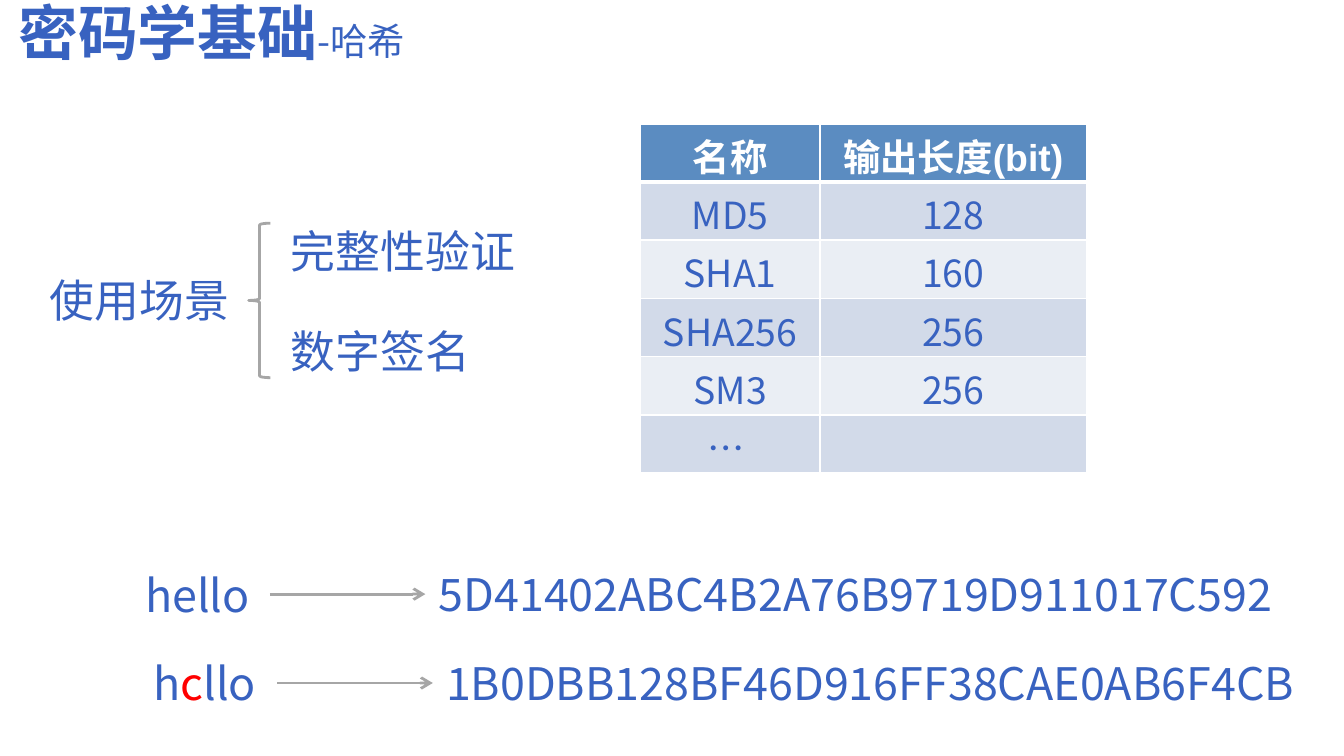
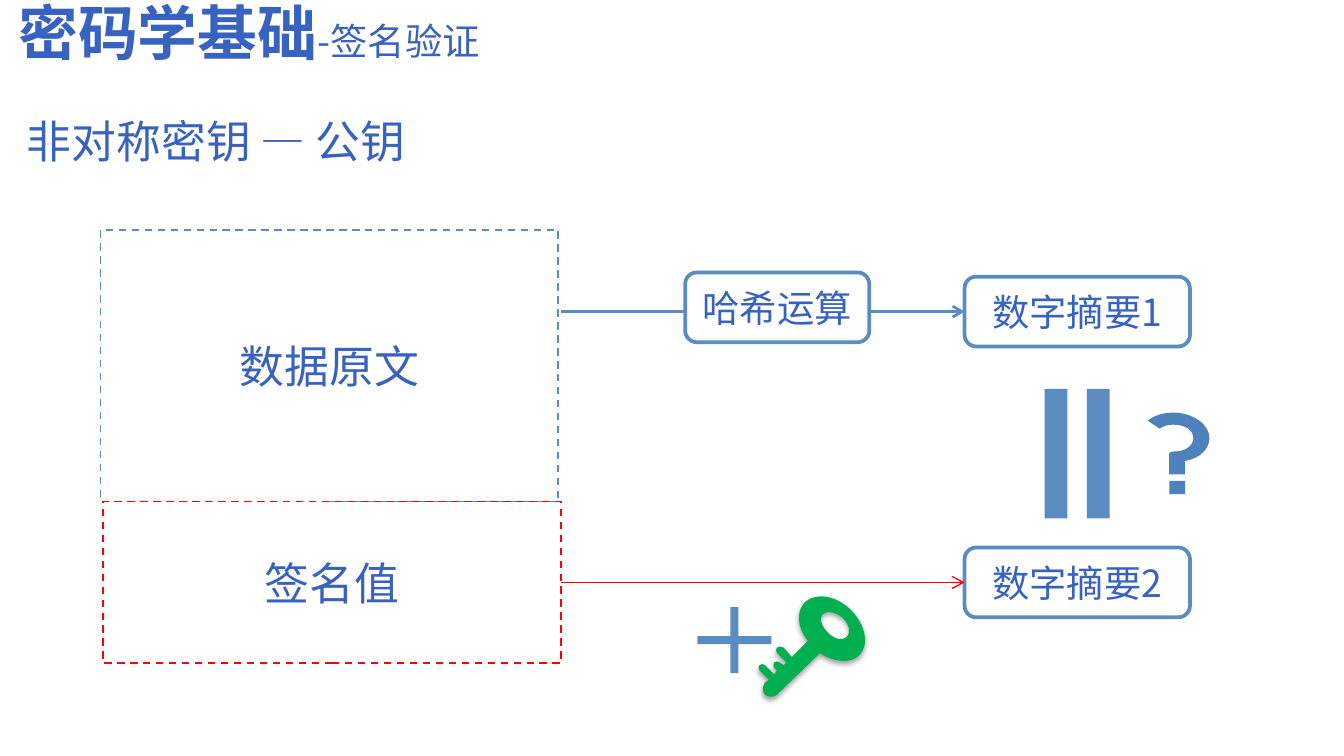
"""Build two slides on cryptography basics: hashing and signature verification."""
import pptx
import pptx.util
import pptx.dml.color
import pptx.enum.dml
import pptx.enum.shapes
import pptx.enum.text
import pptx.oxml
import pptx.oxml.ns

Cm, Pt = pptx.util.Cm, pptx.util.Pt
SHAPE = pptx.enum.shapes.MSO_SHAPE
ALIGN = pptx.enum.text.PP_ALIGN
ANCHOR = pptx.enum.text.MSO_ANCHOR
DASH = pptx.enum.dml.MSO_LINE.DASH
NS = pptx.oxml.ns.nsdecls("a")
qn = pptx.oxml.ns.qn

FONT = "Noto Sans CJK SC"
INK, STEEL, GRAY, RED = "3862C0", "5B8CC1", "A6A6A6", "FF0000"
WHITE, GREEN, QUERY = "FFFFFF", "00B050", "4F81BD"
BANDS = ["D2DAE9", "EAEEF4"]

TITLE = "密码学基础"
SUBTITLES = ["-哈希", "-签名验证"]
USES_LABEL = "使用场景"
USES = ["完整性验证", "数字签名"]
HASH_TABLE = [
    ("名称", "输出长度(bit)"),
    ("MD5", "128"),
    ("SHA1", "160"),
    ("SHA256", "256"),
    ("SM3", "256"),
    ("… ", ""),
]
COLUMNS = [3.4, 5.03]
EXAMPLES = [
    (2.36, 10.72, [("hello", INK)], "5D41402ABC4B2A76B9719D911017C592"),
    (2.5, 12.4, [("h", INK), ("c", RED), ("llo", INK)],
     "1B0DBB128BF46D916FF38CAE0AB6F4CB"),
]
KEY_TYPE = "非对称密钥 — 公钥"
DATA, SIGNATURE, HASHING = "数据原文", "签名值", "哈希运算"
DIGESTS = ["数字摘要1", "数字摘要2"]

KEY = [
    [(46, 45), (14, 76), (12, 78, 8, 78, 5, 76), (3, 74, 3, 70, 5, 67),
     (8, 65), (1, 58), (0, 57, 0, 55, 1, 54), (2, 53, 4, 53, 5, 54),
     (12, 61), (14, 58), (12, 56), (11, 55, 11, 53, 12, 52),
     (13, 51, 15, 51, 16, 52), (19, 54), (21, 52), (14, 45),
     (13, 44, 13, 42, 14, 41), (15, 40, 17, 40, 19, 41), (25, 48), (37, 36),
     (29, 26, 28, 14, 35, 7), (43, 0, 58, 2, 69, 13),
     (80, 24, 83, 39, 75, 47), (68, 53, 56, 52, 46, 45)],
    [(63, 19), (58, 15, 52, 13, 48, 16), (45, 19, 47, 25, 52, 30),
     (57, 35, 63, 36, 66, 33), (69, 30, 68, 24, 63, 19)],
]
HOOK = [
    [(46, 19), (46, 9, 34, 0, 19, 0), (12, 0, 5, 2, 0, 6), (9, 12),
     (12, 10, 15, 9, 19, 9), (28, 9, 34, 13, 34, 19),
     (34, 25, 28, 29, 19, 29), (16, 29, 16, 31, 16, 31), (16, 46), (28, 46),
     (28, 36), (39, 34, 46, 27, 46, 19)],
]


def rgb(color):
    return pptx.dml.color.RGBColor.from_string(color)


def box(x, y, w, h):
    return Cm(x), Cm(y), Cm(w), Cm(h)


def style_run(r, size, color, bold=False, font=FONT):
    r.font.size, r.font.bold, r.font.name = Pt(size), bold, font
    r.font.color.rgb = rgb(color)
    ea = pptx.oxml.parse_xml(f'<a:ea {NS} typeface="{FONT}"/>')
    r.font._element.find(qn("a:latin")).addnext(ea)


def write(tf, runs, size, align=ALIGN.CENTER):
    tf.word_wrap = True
    tf.vertical_anchor = ANCHOR.MIDDLE
    p = tf.paragraphs[0]
    p.alignment = align
    for text, color in runs:
        r = p.add_run()
        r.text = text
        style_run(r, size, color)


def add_label(slide, at, runs, align=ALIGN.LEFT, inset=0):
    sp = slide.shapes.add_textbox(*box(*at))
    tf = sp.text_frame
    tf.margin_left = tf.margin_right = Cm(inset)
    tf.margin_top = tf.margin_bottom = 0
    write(tf, runs, 24, align)
    return sp


def paint(sp, fill=None, line=None, width=1):
    sp.shadow.inherit = False
    if fill:
        sp.fill.solid()
        sp.fill.fore_color.rgb = rgb(fill)
    else:
        sp.fill.background()
    if line:
        sp.line.color.rgb = rgb(line)
        sp.line.width = Pt(width)
    else:
        sp.line.fill.background()


def add_shape(parent, kind, at, fill=None, line=None, width=1, adjust=()):
    sp = parent.shapes.add_shape(kind, *box(*at))
    paint(sp, fill, line, width)
    for i, value in enumerate(adjust):
        sp.adjustments[i] = value
    return sp


def add_step(slide, at, text):
    sp = add_shape(slide, SHAPE.ROUNDED_RECTANGLE, at, WHITE, STEEL, 2)
    write(sp.text_frame, [(text, INK)], 20)
    return sp


def add_dashed_box(slide, at, text, color):
    sp = add_shape(slide, SHAPE.RECTANGLE, at, line=color)
    sp.line.dash_style = DASH
    write(sp.text_frame, [(text, INK)], 24)
    return sp


def add_arrow(slide, target, color, width, source=None, start=(0, 0)):
    cx = slide.shapes.add_connector(
        pptx.enum.shapes.MSO_CONNECTOR.STRAIGHT,
        Cm(start[0]), Cm(start[1]), target.left, target.top + target.height // 2)
    if source:
        cx.begin_connect(source, 3)
    cx.end_connect(target, 1)
    cx.line.color.rgb = rgb(color)
    cx.line.width = Pt(width)
    cx.line._get_or_add_ln().append(
        pptx.oxml.parse_xml(f'<a:tailEnd {NS} type="arrow"/>'))
    cx._element.spPr.append(pptx.oxml.parse_xml(f"<a:effectLst {NS}/>"))


def corners(outline):
    unit = Cm(2.54) / 100
    return [(part[i] * unit, part[i + 1] * unit)
            for part in outline for i in range(0, len(part), 2)]


def bend(sp, outlines):
    segments = iter(list(sp._element.iter(qn("a:lnTo"))))
    for part in (part for outline in outlines for part in outline[1:]):
        first = next(segments)
        if len(part) == 6:
            curve = pptx.oxml.parse_xml(f"<a:cubicBezTo {NS}/>")
            first.addprevious(curve)
            for segment in (first, next(segments), next(segments)):
                curve.append(segment[0])
                segment.getparent().remove(segment)


def add_outline(parent, x, y, outlines, fill):
    first, *others = [corners(outline) for outline in outlines]
    fb = parent.shapes.build_freeform(*first[0])
    fb.add_line_segments(first[1:], close=True)
    for points in others:
        fb.move_to(*points[0])
        fb.add_line_segments(points[1:], close=True)
    sp = fb.convert_to_shape(Cm(x), Cm(y))
    bend(sp, outlines)
    paint(sp, fill)
    return sp


def add_slide(prs, subtitle):
    slide = prs.slides.add_slide(prs.slide_layouts[6])
    sp = slide.shapes.add_textbox(*box(0.1, -0.05, 16.61, 1.24))
    sp.text_frame.word_wrap = True
    p = sp.text_frame.paragraphs[0]
    p.line_spacing = 0.9
    for text, size, bold in [(TITLE, 32, True), (subtitle, 20, False)]:
        r = p.add_run()
        r.text = text
        style_run(r, size, INK, bold)
    return slide


def add_borders(cell, top, bottom):
    tcPr = cell._tc.get_or_add_tcPr()
    for i, (side, width) in enumerate(
            [("lnL", 1), ("lnR", 1), ("lnT", top), ("lnB", bottom)]):
        tcPr.insert(i, pptx.oxml.parse_xml(
            f'<a:{side} {NS} w="{Pt(width)}"><a:solidFill>'
            f'<a:srgbClr val="{WHITE}"/></a:solidFill></a:{side}>'))


def add_hash_table(slide):
    rows = len(HASH_TABLE)
    table = slide.shapes.add_table(
        rows, len(COLUMNS), *box(12.1, 2.34, sum(COLUMNS), 1.1 * rows)).table
    for column, width in zip(table.columns, COLUMNS):
        column.width = Cm(width)
    for i, values in enumerate(HASH_TABLE):
        for j, value in enumerate(values):
            cell = table.cell(i, j)
            cell.margin_left = cell.margin_right = Cm(0.03)
            cell.margin_top, cell.margin_bottom = Cm(0.08), 0
            cell.fill.solid()
            cell.fill.fore_color.rgb = rgb(BANDS[(i - 1) % 2] if i else STEEL)
            add_borders(cell, 3 if i == 1 else 1, 1 if i else 3)
            p = cell.text_frame.paragraphs[0]
            p.alignment = ALIGN.CENTER
            p.font.size = Pt(20)
            if value:
                r = p.add_run()
                r.text = value
                style_run(r, 20, INK if i else WHITE, not i, FONT if i else "Arial")


def build_hash_slide(prs):
    slide = add_slide(prs, SUBTITLES[0])
    for i, use in enumerate(USES):
        add_label(slide, (5.5, 4.22 + 1.9 * i, 5.21, 1.02), [(use, INK)])
    add_label(slide, (0.77, 5.16, 3.73, 1.02), [(USES_LABEL, INK)], ALIGN.CENTER)
    add_shape(slide, SHAPE.LEFT_BRACE, (4.7, 4.22, 0.41, 2.92), WHITE, GRAY, 1.5)
    add_hash_table(slide)
    for x, y, runs, digest in EXAMPLES:
        word = add_label(slide, (x, y, 2.74, 1.02), runs, ALIGN.CENTER)
        code = add_label(slide, (x + 5.68, y - 0.13, 17.32, 1.28),
                         [(digest, INK)], inset=0.25)
        add_arrow(slide, code, GRAY, 1.5, source=word)


def build_verify_slide(prs):
    slide = add_slide(prs, SUBTITLES[1])
    add_label(slide, (0.51, 2.15, 8.66, 1.02), [(KEY_TYPE, INK)])
    add_dashed_box(slide, (1.9, 4.35, 8.65, 5.13), DATA, STEEL)
    signature = add_dashed_box(slide, (1.95, 9.48, 8.65, 3.06), SIGNATURE, RED)
    computed, decrypted = [
        add_step(slide, (18.23, y, 4.26, 1.32), text)
        for y, text in zip((5.23, 10.35), DIGESTS)]
    add_arrow(slide, computed, STEEL, 1.5, start=(10.6, 5.89))
    add_arrow(slide, decrypted, RED, 0.75, source=signature)
    add_step(slide, (12.95, 5.15, 3.48, 1.32), HASHING)

    add_shape(slide, SHAPE.MATH_PLUS, (12.93, 11.25, 1.9, 1.7), STEEL, adjust=[0.09])
    key = add_outline(slide, 14.33, 11.2, KEY, GREEN)
    key._element.spPr.find(qn("a:effectLst")).append(pptx.oxml.parse_xml(
        f'<a:outerShdw {NS} blurRad="{Pt(3.1)}" dist="{Pt(1.6)}" dir="5400000">'
        '<a:srgbClr val="000000"><a:alpha val="38000"/></a:srgbClr></a:outerShdw>'))

    equal = add_shape(slide, SHAPE.MATH_EQUAL, (18.69, 7.04, 3.33, 3.07), STEEL,
                      adjust=[0.14, 0.12])
    equal.rotation = 90
    question = slide.shapes.add_group_shape()
    add_shape(question, SHAPE.RECTANGLE, (22.1, 9.09, 0.3, 0.25), QUERY)
    add_outline(question, 21.69, 7.8, HOOK, QUERY)


def main():
    prs = pptx.Presentation()
    prs.slide_width, prs.slide_height = Cm(25.4), Cm(14.29)
    build_hash_slide(prs)
    build_verify_slide(prs)
    prs.save("out.pptx")


if __name__ == "__main__":
    main()
